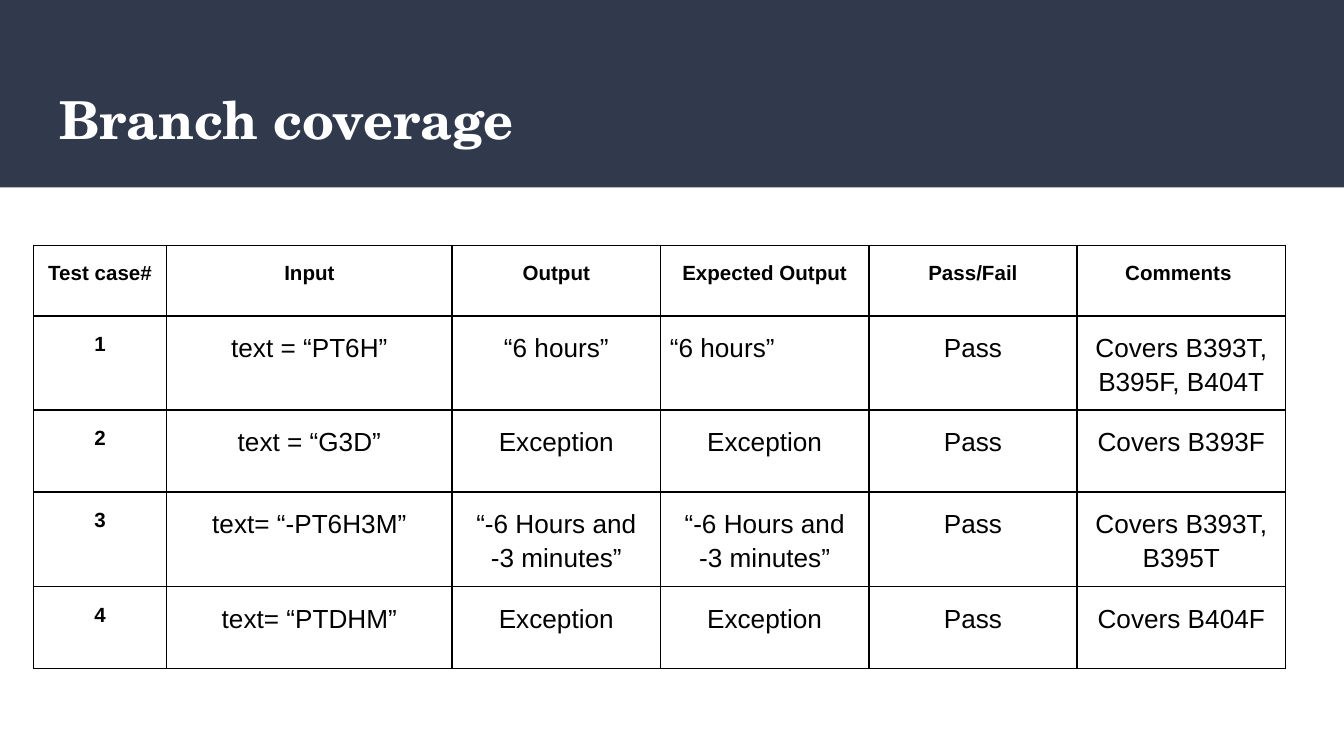
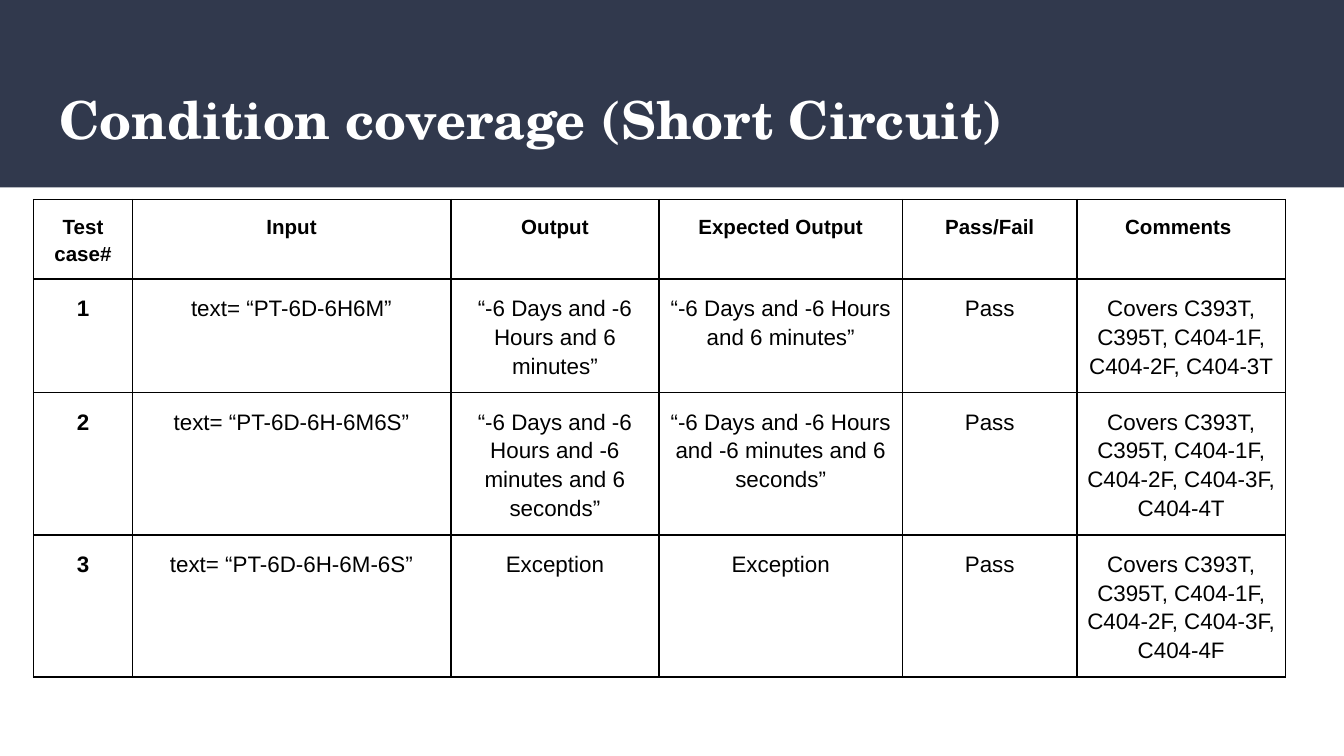
from dataclasses import dataclass

from lxml import etree
from pptx import Presentation, util as u
from pptx.dml.color import RGBColor
from pptx.enum import shapes, text
from pptx.oxml import ns

PX = 4572
WIDE, HIGH = 2000, 1125


@dataclass(frozen=True)
class Theme:
    """Colours, fonts and type sizes of the deck."""
    navy: str = "31394D"
    white: str = "FFFFFF"
    black: str = "000000"
    serif: str = "TeX Gyre Schola"
    sans: str = "Arial"
    title: int = 28
    head: int = 11
    rule: int = 1
    gap: int = 12


THEME = Theme()
HEADS = ["Test case#", "Input", "Output", "Expected Output", "Pass/Fail", "Comments "]
PLANS = [
    dict(
        title="Branch coverage", top=365, cols=[198, 425, 310, 310, 310, 310],
        tall=122, key=11, size=14, left={(1, 3)},
        rows=[
            ["text = “PT6H”", "“6 hours”", "“6 hours”", "Covers B393T, B395F, B404T"],
            ["text = “G3D”", "Exception", "Exception", "Covers B393F"],
            ["text= “-PT6H3M”", "“-6 Hours and -3 minutes”", "“-6 Hours and -3 minutes”",
             "Covers B393T, B395T"],
            ["text= “PTDHM”", "Exception", "Exception", "Covers B404F"],
        ]),
    dict(
        title="Condition coverage (Short Circuit)", top=297, cols=[147, 474, 310, 362, 260, 310],
        tall=92, key=12, size=12, left=set(),
        rows=[
            ["text= “PT-6D-6H6M”", "“-6 Days and -6 Hours and 6 minutes”",
             "“-6 Days and -6 Hours and 6 minutes”",
             "Covers C393T, C395T, C404-1F, C404-2F, C404-3T"],
            ["text= “PT-6D-6H-6M6S”", "“-6 Days and -6 Hours and -6 minutes and 6 seconds”",
             "“-6 Days and -6 Hours and -6 minutes and 6 seconds”",
             "Covers C393T, C395T, C404-1F, C404-2F, C404-3F, C404-4T"],
            ["text= “PT-6D-6H-6M-6S”", "Exception", "Exception",
             "Covers C393T, C395T, C404-1F, C404-2F, C404-3F, C404-4F"],
        ]),
]


def put(obj, vals):
    """Set each named value on an object."""
    for name, val in vals.items():
        setattr(obj, name, val)


def box(*lens):
    """Turn px lengths into EMU."""
    return [n * PX for n in lens]


def pad(side, end):
    """Give the four margins of a frame or cell."""
    return dict(margin_left=side * PX, margin_right=side * PX,
                margin_top=end * PX, margin_bottom=end * PX)


def write(frame, words, tint, font, form):
    """Write one paragraph with its font and paragraph values."""
    para = frame.paragraphs[0]
    put(para, form)
    run = para.add_run()
    run.text = words
    put(run.font, font)
    run.font.color.rgb = RGBColor.from_string(tint)


def band(slide):
    """Place the title band on the shared layout."""
    bar = slide.shapes.add_shape(shapes.MSO_SHAPE.RECTANGLE, *box(0, 0, WIDE, 279))
    bar.shadow.inherit = False
    bar.fill.solid()
    bar.fill.fore_color.rgb = RGBColor.from_string(THEME.navy)
    bar.line.fill.background()
    slide.slide_layout.shapes.element.insert(2, bar.element)


def head(slide, words):
    """Fill and place the title."""
    hold = slide.shapes.title
    put(hold, dict(zip(("left", "top", "width", "height"), box(68, 109, 1864, 136))))
    put(hold.text_frame, dict(pad(20, 20), word_wrap=True, auto_size=text.MSO_AUTO_SIZE.NONE,
                              vertical_anchor=text.MSO_ANCHOR.MIDDLE))
    write(hold.text_frame, words, THEME.white,
          dict(name=THEME.serif, size=u.Pt(THEME.title), bold=True),
          dict(alignment=text.PP_ALIGN.LEFT))


def edge(cell):
    """Rule all four sides of a cell."""
    props = cell._tc.get_or_add_tcPr()
    for spot, side in enumerate("LRTB"):
        line = etree.Element(ns.qn(f"a:ln{side}"), w=str(u.Pt(THEME.rule)))
        fill = etree.SubElement(line, ns.qn("a:solidFill"))
        etree.SubElement(fill, ns.qn("a:srgbClr"), val=THEME.black)
        props.insert(spot, line)


def fill(cell, words, size, bold, align):
    """Format one cell and write its words."""
    put(cell, pad(14, 20))
    cell.fill.background()
    edge(cell)
    write(cell.text_frame, words, THEME.black,
          dict(name=THEME.sans, size=u.Pt(size), bold=bold),
          dict(alignment=align, line_spacing=1.15,
               space_before=u.Pt(THEME.gap), space_after=u.Pt(THEME.gap)))


def grid(slide, plan):
    """Draw the table of test cases."""
    cases = [[str(n), *row[:3], "Pass", row[3]] for n, row in enumerate(plan["rows"], 1)]
    rows = [HEADS, *cases]
    cols = plan["cols"]
    talls = [105] + [plan["tall"]] * len(cases)
    table = slide.shapes.add_table(
        len(rows), len(cols), *box(50, plan["top"], sum(cols), sum(talls))).table
    put(table, dict(first_row=False, horz_banding=False))
    for col, wide in zip(table.columns, cols):
        col.width = wide * PX
    for row, tall in zip(table.rows, talls):
        row.height = tall * PX
    for r, row in enumerate(rows):
        for c, words in enumerate(row):
            size = THEME.head if r == 0 else plan["key"] if c == 0 else plan["size"]
            align = text.PP_ALIGN.LEFT if (r, c) in plan["left"] else text.PP_ALIGN.CENTER
            fill(table.cell(r, c), words, size, r == 0 or c == 0, align)


def main():
    """Build the deck and save it."""
    deck = Presentation()
    put(deck, dict(slide_width=WIDE * PX, slide_height=HIGH * PX))
    for n, plan in enumerate(PLANS):
        slide = deck.slides.add_slide(deck.slide_layouts[5])
        if n == 0:
            band(slide)
        head(slide, plan["title"])
        grid(slide, plan)
    deck.save("out.pptx")


if __name__ == "__main__":
    main()
